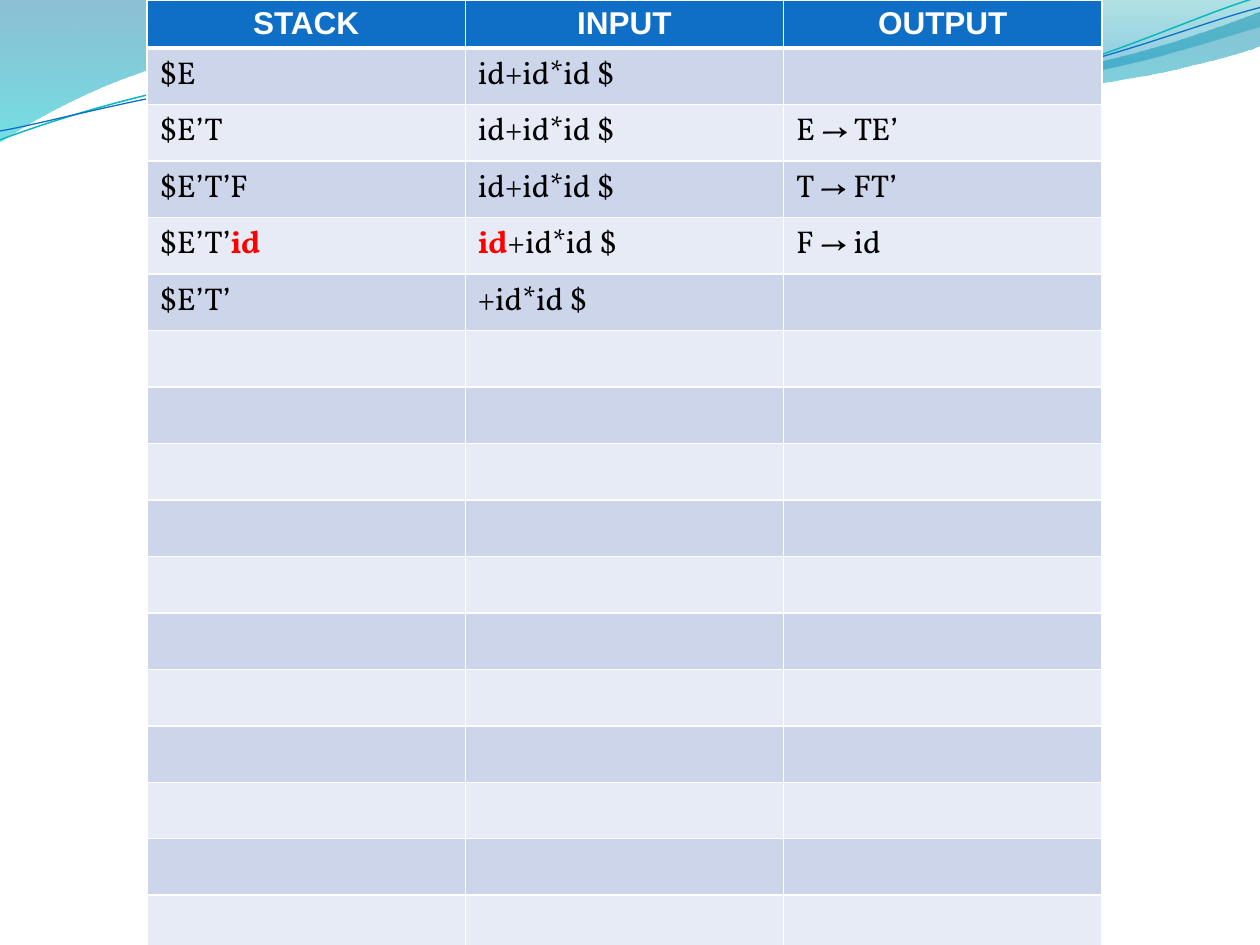
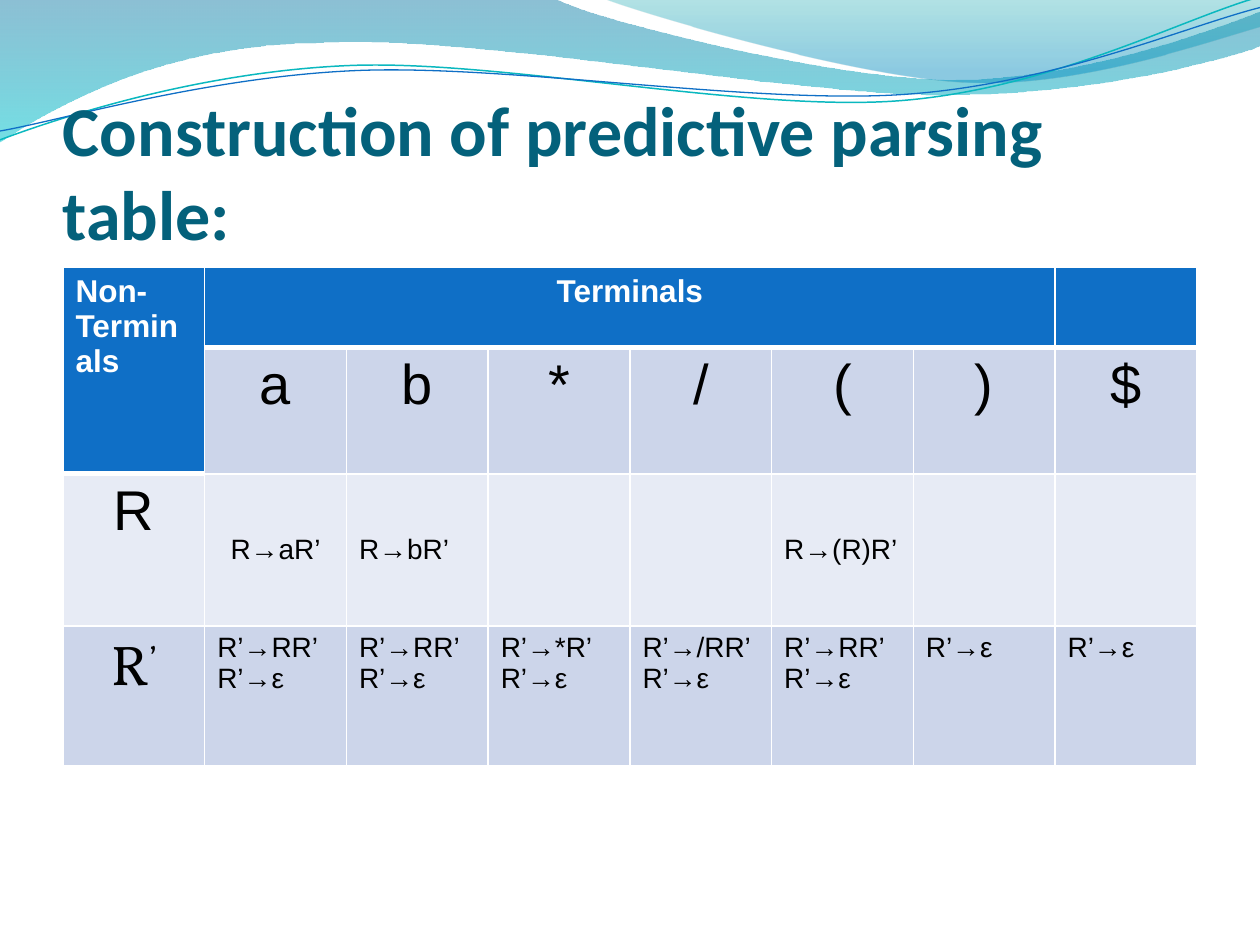
from math import cos, radians, sin

from lxml import etree
from pptx import Presentation
from pptx.dml.color import RGBColor
from pptx.enum.text import MSO_ANCHOR, PP_ALIGN
from pptx.oxml.ns import qn
from pptx.util import Inches, Pt

TOP, MIDDLE, BOTTOM = MSO_ANCHOR.TOP, MSO_ANCHOR.MIDDLE, MSO_ANCHOR.BOTTOM
LEFT, CENTER = PP_ALIGN.LEFT, PP_ALIGN.CENTER

WHITE = RGBColor(0xFF, 0xFF, 0xFF)
BLACK = RGBColor(0x00, 0x00, 0x00)
RED = RGBColor(0xFF, 0x00, 0x00)
HEADER_BLUE = RGBColor(0x0F, 0x6F, 0xC6)
TITLE_TEAL = RGBColor(0x04, 0x61, 0x7B)
LINE_TEAL = RGBColor(0x0A, 0xB8, 0xBF)
BANDS = (RGBColor(0xCC, 0xD5, 0xEA), RGBColor(0xE7, 0xEB, 0xF5))

SANS, SERIF, TITLE_FONT = "Arial", "Vollkorn", "Calibri"
WAVE_TILT = -2.7
WAVE_CENTER = (4.99, 0.58)

RIBBONS = [
    ([(0, -0.01), [(4.4, -0.01)],
      [(4.76, 0.17), (6.64, 0.63), (7.58, 0.63)],
      [(8.53, 0.63), (9.58, 0.26), (10, 0.09)],
      [(10.01, 0.36)],
      [(9.83, 0.44), (8.7, 0.76), (7.46, 0.75)],
      [(6.22, 0.75), (3.82, 0.28), (2.57, 0.34)],
      [(1.29, 0.35), (0.46, 0.83), (-0.01, 1.13)]],
     [(0, RGBColor(0x00, 0x74, 0xA1), 45), (1, RGBColor(0x00, 0xC6, 0xCF), 55)]),
    ([(4.79, -0.01),
      [(5.09, 0.11), (6.82, 0.62), (7.69, 0.65)],
      [(8.56, 0.69), (9.61, 0.32), (10, 0.21)],
      [(10, 0)]],
     [(0, RGBColor(0x00, 0xA1, 0xA9), 30), (0.8, RGBColor(0x00, 0x8B, 0xBF), 45)]),
]
WAVE_LINES = [
    ([(0, 1.11),
      [(0.48, 0.93), (1.58, 0.57), (2.77, 0.52)],
      [(3.95, 0.47), (5.93, 0.89), (7.13, 0.8)],
      [(8.33, 0.71), (9.38, 0.15), (9.98, -0.02)]], LINE_TEAL, 0.85),
    ([(0, 1.04),
      [(0.47, 0.96), (1.64, 0.61), (2.83, 0.56)],
      [(4.03, 0.51), (5.97, 0.83), (7.17, 0.75)],
      [(8.36, 0.67), (9.41, 0.21), (10, 0.06)]], HEADER_BLUE, 0.75),
]

STACK_HEADERS = ["STACK", "INPUT", "OUTPUT"]
STACK_STEPS = [
    (["$E"], ["id+id*id $"], []),
    (["$E’T"], ["id+id*id $"], ["E → TE’"]),
    (["$E’T’F"], ["id+id*id $"], ["T → FT’"]),
    (["$E’T’", "id"], ["id", "+id*id $"], ["F → id"]),
    (["$E’T’"], ["+id*id $"], []),
]
STACK_BODY_ROWS = 17

TERMINALS = "ab*/()$"
R_RULES = ["R→aR’", "R→bR’", "", "", "R→(R)R’", "", ""]
R_PRIME_RULES = ["R’→RR’", "R’→RR’", "R’→*R’", "R’→/RR’", "R’→RR’", "", ""]
EMPTY_RULE = "R’→ε"


def turn(point, degrees):
    """Turn a point clockwise about the centre of the wave lines."""
    angle = radians(degrees)
    x, y = point[0] - WAVE_CENTER[0], point[1] - WAVE_CENTER[1]
    return (WAVE_CENTER[0] + x * cos(angle) - y * sin(angle),
            WAVE_CENTER[1] + x * sin(angle) + y * cos(angle))


def add_outline(slide, path, close, tilt=0):
    """Add a freeform whose three-point steps are cubic curves."""
    start, *steps = path
    points = [start] + [point for step in steps for point in step]
    points = [tuple(Inches(value) for value in turn(point, -tilt)) for point in points]
    builder = slide.shapes.build_freeform(*points[0])
    builder.add_line_segments(points[1:], close=close)
    shape = builder.convert_to_shape()
    shape.shadow.inherit = False
    shape.rotation = tilt
    corners = iter(list(shape._element.iter(qn("a:lnTo"))))
    for step in steps:
        parts = [next(corners) for _ in step]
        if len(step) == 3:
            curve = etree.Element(qn("a:cubicBezTo"))
            parts[0].addprevious(curve)
            for part in parts:
                curve.append(part[0])
                part.getparent().remove(part)
    return shape


def add_ribbon(slide, path, stops):
    """Add a closed band with a translucent vertical gradient."""
    shape = add_outline(slide, path, True)
    shape.line.fill.background()
    shape.fill.gradient()
    shape.fill.gradient_angle = 270
    for stop, (position, color, _) in zip(shape.fill.gradient_stops, stops):
        stop.position = position
        stop.color.rgb = color
    colors = shape._element.spPr.iter(qn("a:srgbClr"))
    for element, (_, _, opacity) in zip(colors, stops):
        etree.SubElement(element, qn("a:alpha"), val=str(opacity * 1000))
    return shape


def add_wave_line(slide, path, color, width):
    """Add an open, tilted thin line."""
    shape = add_outline(slide, path, False, WAVE_TILT)
    shape.fill.background()
    shape.line.color.rgb = color
    shape.line.width = Pt(width)
    return shape


def add_master_waves(slide, master):
    """Draw the ribbons and thin lines and hand them to the slide master."""
    waves = [add_ribbon(slide, *ribbon) for ribbon in RIBBONS]
    waves += [add_wave_line(slide, *line) for line in WAVE_LINES]
    for shape in waves:
        master.shapes._spTree.append(shape._element)


def add_title(slide, text, left, top, width, height):
    """Add the slide title, resting on the bottom of its box."""
    frame = slide.shapes.add_textbox(left, top, width, height).text_frame
    frame.word_wrap = True
    frame.vertical_anchor = BOTTOM
    frame.margin_left = frame.margin_right = frame.margin_bottom = 0
    paragraph = frame.paragraphs[0]
    paragraph.text = text
    set_font(paragraph.font, TITLE_FONT, 40, TITLE_TEAL, True)


def set_font(font, name, size, color, bold=False):
    """Set the typeface, size, colour and weight of a font."""
    font.name, font.size, font.bold = name, Pt(size), bold
    font.color.rgb = color


def set_borders(cell, bottom_width):
    """Give a cell white borders."""
    properties = cell._tc.get_or_add_tcPr()
    for index, side in enumerate(("lnL", "lnR", "lnT", "lnB")):
        width = Pt(bottom_width if side == "lnB" else 1)
        line = etree.Element(qn(f"a:{side}"), w=str(width))
        fill = etree.SubElement(line, qn("a:solidFill"))
        etree.SubElement(fill, qn("a:srgbClr"), val=str(WHITE))
        properties.insert(index, line)


def add_banded_table(slide, left, top, column_widths, row_heights):
    """Add a table with a blue header row and two alternating bands."""
    table = slide.shapes.add_table(len(row_heights), len(column_widths), left, top,
                                   sum(column_widths), sum(row_heights)).table
    for column, width in zip(table.columns, column_widths):
        column.width = width
    for number, (row, height) in enumerate(zip(table.rows, row_heights)):
        row.height = height
        for cell in row.cells:
            cell.fill.solid()
            cell.fill.fore_color.rgb = BANDS[(number - 1) % 2] if number else HEADER_BLUE
            set_borders(cell, 1 if number else 3)
    return table


def write_cell(cell, lines, name, size, color=BLACK, align=LEFT, anchor=TOP, bold=False):
    """Write lines into a cell, each a list of runs, and return the last paragraph."""
    cell.vertical_anchor = anchor
    for index, pieces in enumerate(lines):
        frame = cell.text_frame
        paragraph = frame.add_paragraph() if index else frame.paragraphs[0]
        paragraph.alignment = align
        set_font(paragraph.font, name, size, color, bold)
        for piece in pieces:
            paragraph.add_run().text = piece
    return paragraph


def write_header(cell, text, align=CENTER):
    """Write a white bold header cell."""
    write_cell(cell, [[text]], SANS, 18, WHITE, align, bold=True)


def add_stack_table(slide, left, top, width):
    """Add the trace of stack, input and output with the matched token in red."""
    heights = [Inches(0.37)] + [Inches(7.62) // STACK_BODY_ROWS] * STACK_BODY_ROWS
    table = add_banded_table(slide, left, top, [width // 3] * 3, heights)
    for column, header in enumerate(STACK_HEADERS):
        write_header(table.cell(0, column), header)
    for row, step in enumerate(STACK_STEPS, 1):
        for column, pieces in enumerate(step):
            paragraph = write_cell(table.cell(row, column), [pieces], SERIF, 18)
            for run in paragraph.runs:
                if run.text == "id":
                    run.font.bold = True
                    run.font.color.rgb = RED


def add_parsing_table(slide, left, top, width):
    """Add the predictive parsing table of R and R’."""
    heights = [Inches(height) for height in (0.64, 1, 1.21, 1.11)]
    table = add_banded_table(slide, left, top, [width // 8] * 8, heights)
    corner = table.cell(0, 0)
    corner.merge(table.cell(1, 0))
    table.cell(0, 1).merge(table.cell(0, 6))
    write_header(corner, "Non-Terminals", LEFT)
    write_header(table.cell(0, 1), "Terminals")
    write_cell(table.cell(2, 0), [["R"]], SANS, 32, align=CENTER)
    label = write_cell(table.cell(3, 0), [["R", "’"]], SERIF, 32, align=CENTER)
    label.runs[1].font._element.set("baseline", "30000")
    rules = zip(TERMINALS, R_RULES, R_PRIME_RULES)
    for column, (terminal, rule, prime_rule) in enumerate(rules, 1):
        write_cell(table.cell(1, column), [[terminal]], SANS, 32, align=CENTER)
        if rule:
            write_cell(table.cell(2, column), [[rule]], SANS, 16,
                       align=CENTER if column == 1 else LEFT, anchor=MIDDLE)
        lines = [[text] for text in (prime_rule, EMPTY_RULE) if text]
        write_cell(table.cell(3, column), lines, SANS, 16)


def main():
    """Build the two slides and save them."""
    presentation = Presentation()
    presentation.slide_width, presentation.slide_height = Inches(10), Inches(7.5)
    blank = presentation.slide_layouts[6]

    stack_slide = presentation.slides.add_slide(blank)
    add_master_waves(stack_slide, presentation.slide_master)
    add_stack_table(stack_slide, Inches(7) // 6, 0, Inches(7.58))

    parsing_slide = presentation.slides.add_slide(blank)
    add_title(parsing_slide, "Construction of predictive parsing table:",
              Inches(0.5), Inches(0.77), Inches(9), Inches(1.25))
    add_parsing_table(parsing_slide, Inches(0.5), Inches(2.12), Inches(9))
    presentation.save("out.pptx")


if __name__ == "__main__":
    main()
